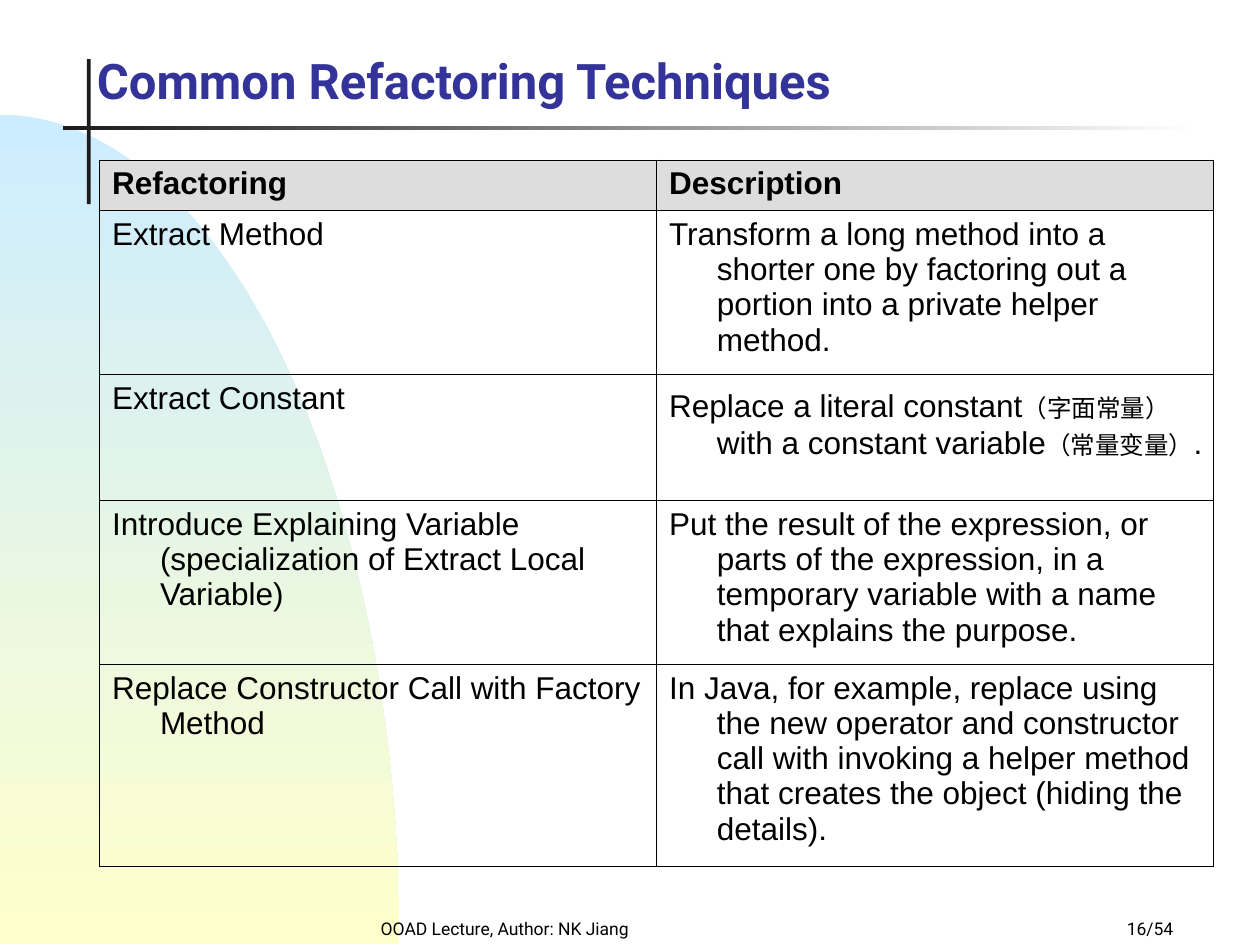
from lxml import etree
from pptx import Presentation
from pptx.dml.color import RGBColor
from pptx.enum import shapes, text
from pptx.oxml.ns import qn
from pptx.util import Inches, Pt

COLORS = {
    "sky": "CCECFF", "cream": "FFFFCC", "bar": "1C1C1C", "white": "FFFFFF",
    "title": "333399", "black": "000000", "header": "DDDDDD",
}


def set_gradient(shape, start, end, angle):
    shape.fill.gradient()
    shape.fill.gradient_angle = angle
    for stop, name in zip(shape.fill.gradient_stops, (start, end)):
        stop.color.rgb = RGBColor.from_string(COLORS[name])


def style_font(font, name, size, color="black", bold=False):
    font.name = name
    font.size = Pt(size)
    font.bold = bold
    font.color.rgb = RGBColor.from_string(COLORS[color])


deck = Presentation()
deck.slide_width, deck.slide_height = Inches(10), Inches(7.5)
page = deck.slides.add_slide(deck.slide_layouts[6])

# Background arc: a Bezier quarter curve closed at the lower left corner
controls = [(0, 0.91), (1.75, 0.91), (3.17, 3.86), (3.17, 7.49)]
steps = 60
curve = []
for step in range(steps + 1):
    t = step / steps
    weights = [(1 - t) ** 3, 3 * t * (1 - t) ** 2, 3 * t ** 2 * (1 - t), t ** 3]
    curve.append(tuple(Inches(sum(w * point[axis] for w, point in zip(weights, controls)))
                       for axis in (0, 1)))
builder = page.shapes.build_freeform(*curve[0])
builder.add_line_segments(curve[1:] + [(0, Inches(7.49))], close=True)
arc = builder.convert_to_shape()
set_gradient(arc, "sky", "cream", 270)

# Crossed bars beside the title
upright = page.shapes.add_shape(
    shapes.MSO_SHAPE.RECTANGLE, Inches(0.69), Inches(0.47), Inches(0.03), Inches(1.15))
upright.fill.solid()
upright.fill.fore_color.rgb = RGBColor.from_string(COLORS["bar"])
rule = page.shapes.add_shape(
    shapes.MSO_SHAPE.RECTANGLE, Inches(0.5), Inches(1), Inches(9), Inches(0.03))
set_gradient(rule, "bar", "white", 0)
for shape in (arc, upright, rule):
    shape.line.fill.background()
    shape.shadow.inherit = False

# Footer, page number and title
align = text.PP_ALIGN
labels = [
    ("OOAD Lecture, Author: NK Jiang", 2.42, 7.17, 3.17, 0.33, align.CENTER, 10, "black", False),
    ("16/54", 7.33, 7.17, 2.08, 0.33, align.RIGHT, 10, "black", False),
    ("Common Refactoring Techniques", 0.67, 0.17, 7.08, 0.75, align.LEFT, 28, "title", True),
]
for words, left, top, width, height, side, size, color, bold in labels:
    box = page.shapes.add_textbox(Inches(left), Inches(top), Inches(width), Inches(height))
    frame = box.text_frame
    frame.word_wrap = True
    frame.vertical_anchor = text.MSO_ANCHOR.BOTTOM
    para = frame.paragraphs[0]
    para.text = words
    para.alignment = side
    style_font(para.font, "Roboto", size, color, bold)

# Refactoring table; a cell given as a list holds (text, size) spans
rows = [
    (0.4, "Refactoring", "Description"),
    (1.3, "Extract Method",
     "Transform a long method into a shorter one by factoring out a portion "
     "into a private helper method."),
    (1, "Extract Constant",
     [("Replace a literal constant", 18), ("（字面常量）", 14),
      (" with a constant variable", 18), ("（常量变量）", 14), (".", 18)]),
    (1.3, "Introduce Explaining Variable (specialization of Extract Local Variable)",
     "Put the result of the expression, or parts of the expression, in a "
     "temporary variable with a name that explains the purpose."),
    (1.6, "Replace Constructor Call with Factory Method",
     "In Java, for example, replace using the new operator and constructor call "
     "with invoking a helper method that creates the object (hiding the details)."),
]
table = page.shapes.add_table(
    len(rows), 2, Inches(0.79), Inches(1.27), Inches(8.83),
    Inches(sum(row[0] for row in rows))).table
table.first_row = table.horz_banding = False
for column in table.columns:
    column.width = Inches(4.42)

for row_index, (height, *contents) in enumerate(rows):
    table.rows[row_index].height = Inches(height)
    for column_index, content in enumerate(contents):
        cell = table.cell(row_index, column_index)
        is_header = row_index == 0
        para = cell.text_frame.paragraphs[0]
        indent = para._p.get_or_add_pPr()
        indent.set("marL", str(Inches(0.38)))
        indent.set("indent", str(-Inches(0.38)))
        style_font(para.font, "Arial", 18, bold=is_header)
        spans = [(content, 18)] if isinstance(content, str) else content
        for words, size in spans:
            span = para.add_run()
            span.text = words
            style_font(span.font, "Arial", size, bold=is_header)

        # Borders come before the fill in the cell properties
        properties = cell._tc.get_or_add_tcPr()
        for edge in ("a:lnL", "a:lnR", "a:lnT", "a:lnB"):
            line = etree.SubElement(properties, qn(edge), w=str(Pt(0.45)))
            paint = etree.SubElement(line, qn("a:solidFill"))
            etree.SubElement(paint, qn("a:srgbClr"), val=COLORS["black"])
        if is_header:
            cell.fill.solid()
            cell.fill.fore_color.rgb = RGBColor.from_string(COLORS["header"])
        else:
            cell.fill.background()

deck.save("out.pptx")
